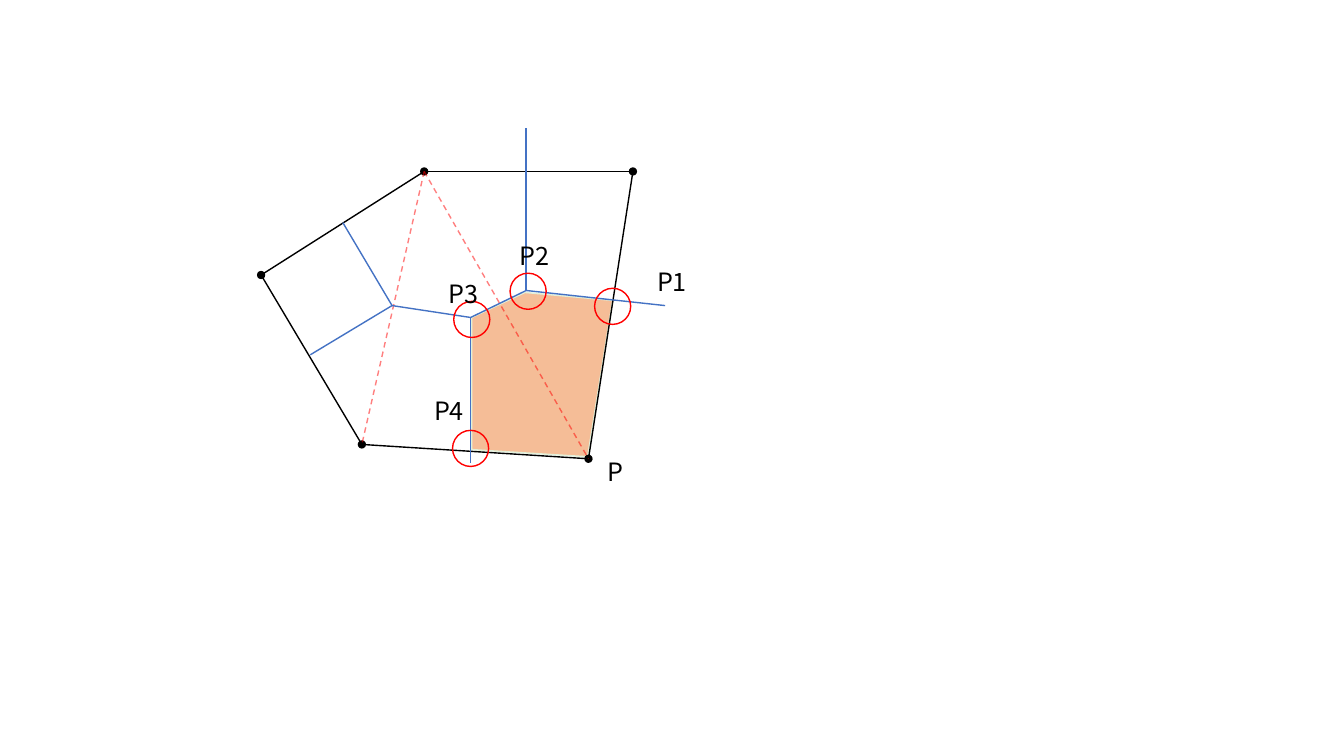
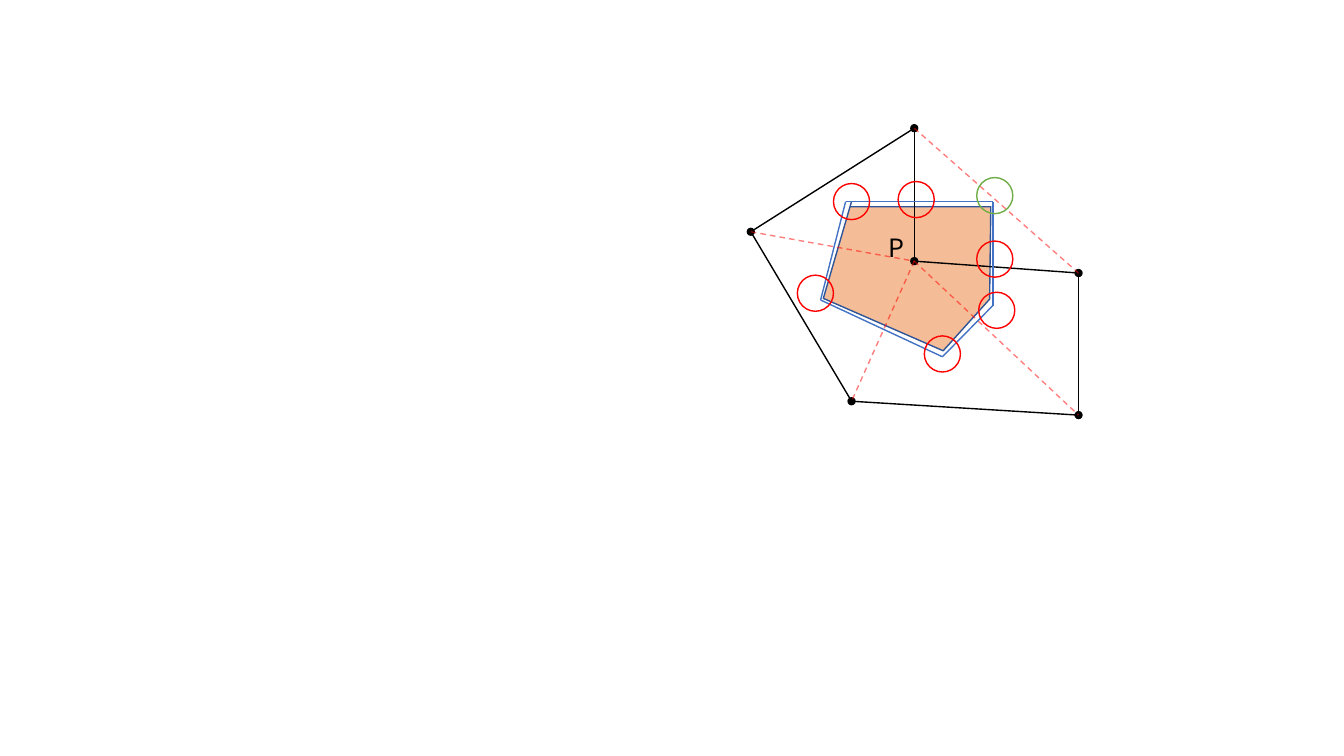
from lxml import etree
from pptx import Presentation
from pptx.dml.color import RGBColor
from pptx.enum import dml, shapes, text
from pptx.oxml import ns
from pptx.util import Cm, Pt

# Shared style
HUES = {"edge": "000000", "split": "FF0000", "axis": "4472C4",
        "cell": "ED7D31", "pale": "E2F0D9", "deep": "2F5597",
        "ring": "FF0000", "spare": "70AD47"}
FONT = "Noto Sans CJK SC"
RING = 0.91


def rgb(hue):
    return RGBColor.from_string(HUES[hue])


def fade(fill, share):
    """Give a solid fill an opacity in percent."""
    node = fill._xPr.find(".//" + ns.qn("a:srgbClr"))
    etree.SubElement(node, ns.qn("a:alpha"), val=str(share * 1000))


def pen(line, hue):
    line.color.rgb = rgb(hue)
    line.width = Pt(1)


def stroke(tree, start, end, hue, dot=False, dash=False):
    """Draw a straight line, with a dot at its start or dashed and faint."""
    line = tree.add_connector(shapes.MSO_CONNECTOR.STRAIGHT,
                              *map(Cm, (*start, *end)))
    pen(line.line, hue)
    if dash:
        line.line.dash_style = dml.MSO_LINE.DASH
        fade(line.line.fill, 50)
    if dot:
        etree.SubElement(line.line._get_or_add_ln(), ns.qn("a:headEnd"),
                         type="oval")
    etree.SubElement(line._element.spPr, ns.qn("a:effectLst"))


def mesh(tree, ring, cuts):
    """Draw the outline with dotted corners, and its dashed diagonals."""
    for start, end in zip(ring, ring[1:] + ring[:1]):
        stroke(tree, start, end, "edge", dot=True)
    for start, end in cuts:
        stroke(tree, start, end, "split", dash=True)


def cell(tree, points, hue, close):
    """Draw the shaded region around P."""
    first, *rest = [(Cm(x), Cm(y)) for x, y in points]
    path = tree.build_freeform(*first)
    path.add_line_segments(rest, close=close)
    shape = path.convert_to_shape()
    shape.shadow.inherit = False
    shape.fill.solid()
    shape.fill.fore_color.rgb = rgb("cell")
    fade(shape.fill, 50)
    pen(shape.line, hue)


def circle(tree, mid, hue="ring"):
    """Draw an open circle around a point."""
    x, y = mid
    shape = tree.add_shape(shapes.MSO_SHAPE.OVAL, Cm(x - RING / 2),
                           Cm(y - RING / 2), Cm(RING), Cm(RING))
    shape.shadow.inherit = False
    shape.fill.background()
    pen(shape.line, hue)


def label(tree, words, at, width=2.59, size=18, hue="edge"):
    """Write text in a box with its top left corner at a point."""
    box = tree.add_textbox(*map(Cm, (*at, width, 1.02)))
    frame = box.text_frame
    frame.word_wrap = True
    frame.auto_size = text.MSO_AUTO_SIZE.SHAPE_TO_FIT_TEXT
    para = frame.paragraphs[0]
    para.text = words
    font = para.font
    font.name, font.size = FONT, Pt(size)
    font.color.rgb = rgb(hue)


def border(tree):
    """P lies on the outline of the mesh."""
    cell(tree, [(11.89, 11.33), (11.89, 8), (13.23, 7.37),
                (15.44, 7.57), (14.81, 11.51)], "pale", close=True)

    # Mesh
    left, low, p = (6.58, 6.93), (9.12, 11.2), (14.83, 11.56)
    right, top = (15.95, 4.32), (10.69, 4.32)
    mesh(tree.add_group_shape().shapes, [left, low, p, right, top],
         [(top, low), (top, p)])

    # Bisectors
    west, mid, east = (9.88, 7.7), (11.86, 8), (13.26, 7.32)
    for start, end in [((8.64, 5.61), west), ((7.82, 8.94), west),
                       (west, mid), ((11.86, 11.66), mid), (mid, east),
                       (east, (16.76, 7.7)), (east, (13.26, 3.23))]:
        stroke(tree, start, end, "axis")

    # Corners of the region
    for spot in [(11.86, 11.3), (15.44, 7.72), (13.31, 7.34), (11.89, 8.05)]:
        circle(tree, spot)
    for words, at, width in [("P", (15.06, 11.38), 2.59),
                             ("P4", (10.69, 9.83), 5.89),
                             ("P1", (16.31, 6.58), 2.01),
                             ("P3", (11.05, 6.88), 4.14),
                             ("P2", (12.85, 5.92), 4.83)]:
        label(tree, words, at, width)


def inner(tree):
    """P lies where the inner edges of the mesh meet."""
    cell(tree, [(21.44, 5.21), (24.97, 5.21), (24.94, 7.54), (23.77, 8.84),
                (20.75, 7.52), (21.46, 5.08)], "deep", close=False)

    # Mesh
    left, low, far = (18.92, 5.84), (21.46, 10.11), (27.18, 10.46)
    right, p, top = (27.18, 6.88), (23.04, 6.58), (23.04, 3.23)
    mesh(tree, [left, low, far, right, p, top],
         [(left, p), (top, right), (p, far), (p, low)])

    # Bisectors
    axes = [(21.31, 5.08), (25.02, 5.08), (25.02, 7.7),
            (23.75, 8.99), (20.68, 7.56)]
    for start, end in zip(axes, axes[1:] + axes[:1]):
        stroke(tree, start, end, "axis")

    # Corners of the region
    for spot in [(21.46, 5.08), (23.09, 5.03), (20.55, 7.39),
                 (25.07, 6.53), (23.75, 8.92), (25.12, 7.82)]:
        circle(tree, spot)
    circle(tree, (25.07, 4.93), "spare")
    label(tree, "P", (22.15, 5.72))


def main():
    deck = Presentation()
    deck.slide_width, deck.slide_height = Cm(33.87), Cm(19.05)
    for draw in (border, inner):
        draw(deck.slides.add_slide(deck.slide_layouts[6]).shapes)
    deck.save("out.pptx")


if __name__ == "__main__":
    main()
